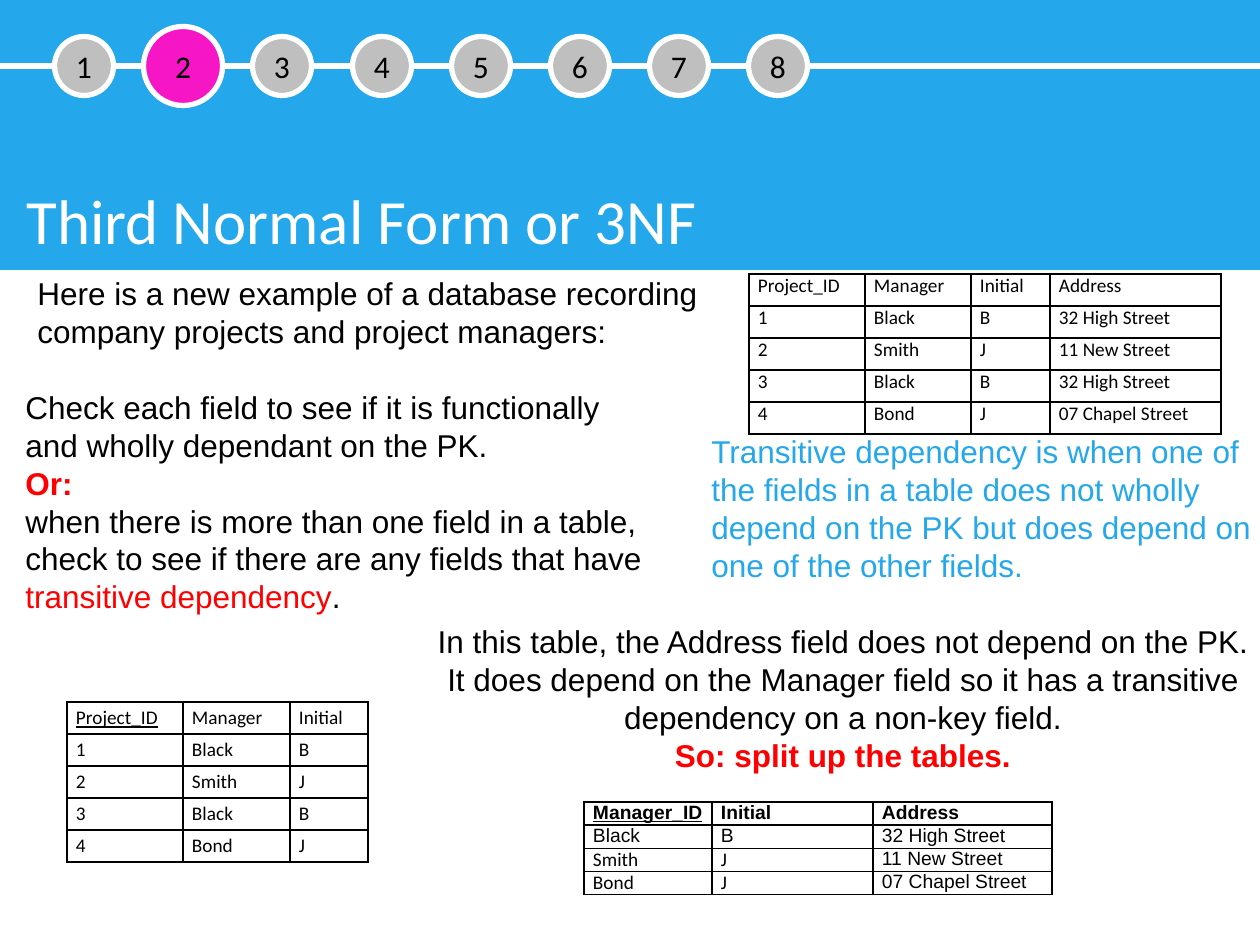
from dataclasses import dataclass

from lxml import etree
from pptx import Presentation
from pptx.dml.color import RGBColor
from pptx.enum.shapes import MSO_CONNECTOR, MSO_SHAPE
from pptx.enum.text import MSO_ANCHOR, MSO_AUTO_SIZE, PP_ALIGN
from pptx.oxml.ns import qn
from pptx.util import Pt

ROUNDED = MSO_SHAPE.ROUNDED_RECTANGLE
ELLIPSE = MSO_SHAPE.OVAL
STRAIGHT = MSO_CONNECTOR.STRAIGHT
LEFT, CENTER = PP_ALIGN.LEFT, PP_ALIGN.CENTER
MIDDLE = MSO_ANCHOR.MIDDLE
GROW = MSO_AUTO_SIZE.SHAPE_TO_FIT_TEXT

BLUE, PINK, GREY = "24A7EB", "F616C6", "BFBFBF"
WHITE, BLACK, RED = "FFFFFF", "000000", "FF0000"


def px(*lengths):
    return [round(length * 914400 / 126) for length in lengths]


def rgb(value):
    return RGBColor.from_string(value)


@dataclass
class Run:
    text: str
    color: str = BLACK
    bold: bool = False
    underline: bool = False
    font: str = "Arial"
    size: int = 18


def cell_run(text, **style):
    return Run(text, **{"font": "Calibri", "size": 11, **style})


class SlideBuilder:
    def __init__(self, slide, line_width=3, border_width=1):
        self.slide = slide
        self.line_width = Pt(line_width)
        self.border_width = Pt(border_width)

    def fill_text(self, frame, paragraphs, align=LEFT, spacing=None):
        for index, runs in enumerate(paragraphs):
            paragraph = frame.add_paragraph() if index else frame.paragraphs[0]
            paragraph.alignment = align
            if spacing:
                paragraph.line_spacing = spacing
            for item in runs:
                run = paragraph.add_run()
                run.text = item.text
                run.font.name = item.font
                run.font.size = Pt(item.size)
                run.font.bold = item.bold
                run.font.underline = item.underline
                run.font.color.rgb = rgb(item.color)

    def shape(self, kind, box, fill, outline=None):
        shape = self.slide.shapes.add_shape(kind, *px(*box))
        shape.shadow.inherit = False
        shape.fill.solid()
        shape.fill.fore_color.rgb = rgb(fill)
        if outline:
            shape.line.color.rgb = rgb(outline)
            shape.line.width = self.line_width
        else:
            shape.line.fill.background()
        return shape

    def banner(self, box, fill):
        self.shape(ROUNDED, box, fill).adjustments[0] = 0

    def line(self, ends, color):
        connector = self.slide.shapes.add_connector(STRAIGHT, *px(*ends))
        connector.line.color.rgb = rgb(color)
        connector.line.width = self.line_width
        etree.SubElement(connector._element.spPr, qn("a:effectLst"))

    def step(self, number, center_x, center_y, diameter, fill):
        box = (center_x - diameter / 2, center_y - diameter / 2, diameter, diameter)
        frame = self.shape(ELLIPSE, box, fill, WHITE).text_frame
        frame.margin_left = frame.margin_right = 0
        frame.vertical_anchor = MIDDLE
        self.fill_text(frame, [[Run(str(number), font="Calibri")]], CENTER)

    def text(self, box, paragraphs, align=LEFT):
        frame = self.slide.shapes.add_textbox(*px(*box)).text_frame
        frame.word_wrap = True
        frame.auto_size = GROW
        self.fill_text(frame, paragraphs, align)

    def border(self, cell):
        properties = cell._tc.get_or_add_tcPr()
        for index, side in enumerate(("a:lnL", "a:lnR", "a:lnT", "a:lnB")):
            line = etree.Element(qn(side), w=str(int(self.border_width)))
            fill = etree.SubElement(line, qn("a:solidFill"))
            etree.SubElement(fill, qn("a:srgbClr"), val=BLACK)
            properties.insert(index, line)

    def table(self, left, top, widths, row_height, rows, top_margin=0, spacing=None):
        box = px(left, top, sum(widths), row_height * len(rows))
        table = self.slide.shapes.add_table(len(rows), len(widths), *box).table
        table.first_row = table.horz_banding = False
        for column, width in zip(table.columns, px(*widths)):
            column.width = width
        for row, values in zip(table.rows, rows):
            row.height = px(row_height)[0]
            for cell, value in zip(row.cells, values):
                cell.fill.background()
                self.border(cell)
                cell.margin_left, cell.margin_right = px(9, 9)
                cell.margin_top, cell.margin_bottom = px(top_margin, 0)
                run = cell_run(value) if isinstance(value, str) else value
                self.fill_text(cell.text_frame, [[run]], spacing=spacing)


def main():
    presentation = Presentation()
    presentation.slide_width, presentation.slide_height = px(1260, 945)
    slide = presentation.slides.add_slide(presentation.slide_layouts[6])
    builder = SlideBuilder(slide)

    builder.banner((0, -4, 1260, 274), BLUE)
    builder.line((0, 66, 1260, 66), WHITE)
    for index in range(8):
        diameter, fill = (79, PINK) if index == 1 else (59, GREY)
        builder.step(index + 1, round(84 + 99.2 * index), 66, diameter, fill)

    builder.text((25, 268, 723, 89), [[Run(
        "Here is a new example of a database recording company projects "
        "and project managers:")]])

    projects = [
        ("Project_ID", "Manager", "Initial", "Address"),
        ("1", "Black", "B", "32 High Street"),
        ("2", "Smith", "J", "11 New Street"),
        ("3", "Black", "B", "32 High Street"),
        ("4", "Bond", "J", "07 Chapel Street"),
    ]
    builder.table(749, 274, (116, 106, 79, 171), 32, projects)

    builder.text((13, 382, 650, 242), [
        [Run("Check each field to see if it is functionally and wholly "
             "dependant on the PK.")],
        [Run("Or:", RED, bold=True)],
        [Run("when there is more than one field in a table, check to see "
             "if there are any fields that have "),
         Run("transitive dependency", RED),
         Run(".")],
    ])
    builder.text((699, 426, 601, 165), [[Run(
        "Transitive dependency is when one of the fields in a table does not "
        "wholly depend on the PK but does depend on one of the other fields.",
        BLUE)]])
    builder.text((422, 616, 842, 165), [
        [Run("In this table, the Address field does not depend on the PK.")],
        [Run("It does depend on the Manager field so it has a transitive "
             "dependency on a non-key field.")],
        [Run("So: split up the tables.", RED, bold=True)],
    ], CENTER)

    split_projects = [row[:3] for row in projects]
    split_projects[0] = (cell_run("Project_ID", underline=True), "Manager", "Initial")
    builder.table(67, 702, (116, 107, 78), 32, split_projects, 1, 1.15)

    def arial(text, **style):
        return cell_run(text, font="Arial", **style)

    managers = [
        (arial("Manager_ID", bold=True, underline=True),
         arial("Initial", bold=True), arial("Address", bold=True)),
        (arial("Black"), arial("B"), arial("32 High Street")),
        ("Smith", "J", arial("11 New Street")),
        ("Bond", "J", arial("07 Chapel Street")),
    ]
    builder.table(584, 802, (128, 161, 179), 23, managers)

    builder.text((14, 175, 994, 89),
                 [[Run("Third Normal Form or 3NF", WHITE, font="Calibri", size=36)]])

    presentation.save("out.pptx")


if __name__ == "__main__":
    main()
